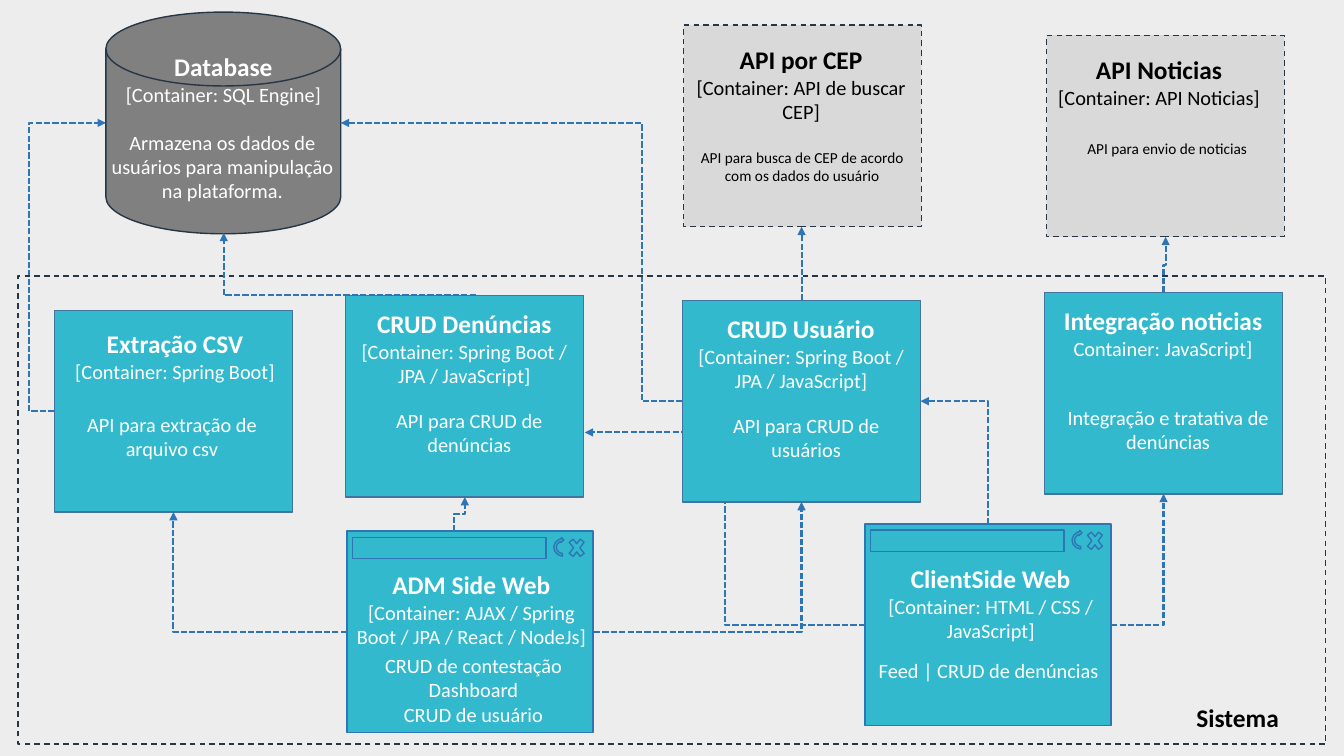
"""Build the container diagram slide of the system."""
from dataclasses import dataclass
from typing import Optional

import lxml.etree
import pptx
import pptx.dml.color
import pptx.enum.dml
import pptx.enum.shapes
import pptx.enum.text
import pptx.oxml.ns
import pptx.util

SHAPE = pptx.enum.shapes.MSO_SHAPE
DASH = pptx.enum.dml.MSO_LINE
qn = pptx.oxml.ns.qn


@dataclass(frozen=True)
class Theme:
    page: str = "EDEDED"
    card: str = "32B9CD"
    store: str = "808080"
    external: str = "D9D9D9"
    card_edge: str = "43739E"
    arrow: str = "2E75B6"
    dark_edge: str = "253746"
    light: str = "FFFFFF"
    dark: str = "000000"
    font: str = "Calibri"
    title: float = 18.1
    body: float = 14.5
    small: float = 10.9
    edge: float = 1
    arrow_edge: float = 1.5


@dataclass(frozen=True)
class Area:
    left: float
    top: float
    width: float
    height: float

    def inside(self, parent: "Area") -> "Area":
        return Area(parent.left + self.left, parent.top + self.top, self.width, self.height)


@dataclass(frozen=True)
class Look:
    shape: int
    fill: Optional[str]
    edge: str
    ink: str
    detail_size: float
    dash: Optional[int] = None


@dataclass(frozen=True)
class Container:
    look: Look
    area: Area
    title: str
    technology: str
    detail: str
    heading_spot: Area
    detail_spot: Area


@dataclass(frozen=True)
class Arrow:
    start: tuple[float, float]
    end: tuple[float, float]
    preset: str = "bentConnector2"
    bend: Optional[float] = None
    vertical: bool = False
    tip: str = "tailEnd"


THEME = Theme()
deck = pptx.Presentation()
deck.slide_width, deck.slide_height = pptx.util.Inches(13.33), pptx.util.Inches(7.5)
COLUMN, ROW = deck.slide_width / 133.3, deck.slide_height / 75
page = deck.slides.add_slide(deck.slide_layouts[6])
page.background.fill.solid()
page.background.fill.fore_color.rgb = pptx.dml.color.RGBColor.from_string(THEME.page)

CARD = Look(SHAPE.RECTANGLE, THEME.card, THEME.card_edge, THEME.light, THEME.body)
WINDOW = Look(SHAPE.RECTANGLE, THEME.card, THEME.arrow, THEME.light, THEME.body)
STORE = Look(SHAPE.FLOWCHART_MAGNETIC_DISK, THEME.store, THEME.dark_edge, THEME.light, THEME.body)
EXTERNAL = Look(SHAPE.RECTANGLE, THEME.external, THEME.dark_edge, THEME.dark, THEME.small, DASH.DASH)
BOUNDARY = Look(SHAPE.RECTANGLE, None, THEME.dark_edge, THEME.dark, THEME.body, DASH.DASH)
CARD_HEADING, CARD_DETAIL = Area(-1, 0.8, 25.5, 8.9), Area(0.8, 10.7, 22.9, 5.9)


def card_area(left: float, top: float) -> Area:
    return Area(left, top, 23.6, 20)


def window_area(left: float, top: float) -> Area:
    return Area(left, top, 24.4, 20)


CONTAINERS = [
    Container(CARD, card_area(67.7, 29.8), "CRUD Usuário", "[Container: Spring Boot / JPA / JavaScript]",
              "API para CRUD de usuários", CARD_HEADING, CARD_DETAIL),
    Container(STORE, Area(10.5, 1.2, 23.3, 22), "Database", "[Container: SQL Engine]",
              "Armazena os dados de usuários para manipulação na plataforma.",
              Area(-1.1, 3.4, 25.5, 6.3), Area(-1.2, 11.2, 25.5, 8)),
    Container(CARD, card_area(5.4, 30.8), "Extração CSV", "[Container: Spring Boot]",
              "API para extração de arquivo csv", Area(-0.8, 1.3, 25.5, 6.5), Area(0.2, 9.6, 22.9, 5.9)),
    Container(WINDOW, window_area(85.8, 52), "ClientSide Web", "[Container: HTML / CSS / JavaScript]",
              "Feed | CRUD de denúncias", Area(-0.3, 3.4, 25.5, 8.9), Area(-0.5, 12.8, 25.5, 3.5)),
    Container(WINDOW, window_area(34.4, 52.7), "ADM Side Web",
              "[Container: AJAX / Spring Boot / JPA / React / NodeJs]",
              "CRUD de contestação\nDashboard\nCRUD de usuário",
              Area(-0.4, 3.3, 25.5, 8.9), Area(-0.2, 11.6, 25.5, 8.3)),
    Container(EXTERNAL, card_area(103.8, 3.5), "API Noticias", "[Container: API Noticias]",
              "API para envio de noticias", Area(-1.6, 1.4, 25.5, 6.5), Area(-0.8, 9.8, 25.5, 2.8)),
    Container(EXTERNAL, card_area(67.8, 2.5), "API por CEP", "[Container: API de buscar CEP]",
              "API para busca de CEP de acordo com os dados do usuário",
              Area(-1.1, 1.4, 25.5, 8.9), Area(-0.7, 11.7, 24.9, 4.7)),
    Container(CARD, card_area(34.3, 29.3), "CRUD Denúncias", "[Container: Spring Boot / JPA / JavaScript]",
              "API para CRUD de denúncias", CARD_HEADING, CARD_DETAIL),
    Container(CARD, card_area(103.6, 29), "Integração noticias", "Container: JavaScript]",
              "Integração e tratativa de denúncias", CARD_HEADING, CARD_DETAIL),
]
WINDOW_PARTS = [
    (SHAPE.RECTANGLE, Area(0.55, 0.6, 19.2, 2.1), 0),
    (SHAPE.MATH_MULTIPLY, Area(21.75, 0.3, 2.1, 2.7), 0),
    (SHAPE.CIRCULAR_ARROW, Area(20.45, 0.55, 2, 2.1), 275),
]
BACK_ARROWS = [
    Arrow((85.8, 62), (58, 42.9), "bentConnector3", 0.5),
    Arrow((67.7, 39.8), (33.8, 12.2), "bentConnector3", 0.12),
    Arrow((5.4, 40.8), (10.5, 12.2), "bentConnector3", -0.49),
]
FRONT_ARROWS = [
    Arrow((91.3, 39.8), (98, 52), tip="headEnd"),
    Arrow((34.4, 62.7), (17.2, 50.8)),
    Arrow((79.5, 29.8), (79.5, 22.5), "straightConnector1"),
    Arrow((58.9, 62.7), (79.5, 49.8)),
    Arrow((110.2, 62), (115.4, 49)),
    Arrow((45, 52.7), (46.1, 49.3), "bentConnector3", 0.5, vertical=True),
    Arrow((115.4, 29), (115.6, 23.5), "bentConnector3", 0.5, vertical=True),
    Arrow((47.2, 29.3), (22.2, 23.1)),
]


def place(area: Area) -> tuple[int, int, int, int]:
    return (round(area.left * COLUMN), round(area.top * ROW),
            round(area.width * COLUMN), round(area.height * ROW))


def set_line(line, colour: str, width: float, dash: Optional[int]) -> None:
    line.color.rgb = pptx.dml.color.RGBColor.from_string(colour)
    for name, value in {"width": pptx.util.Pt(width), "dash_style": dash}.items():
        setattr(line, name, value)


def draw_shape(kind: int, area: Area, look: Look, fill: Optional[str], turn: float = 0) -> None:
    shape = page.shapes.add_shape(kind, *place(area))
    shape.shadow.inherit = False
    shape.rotation = turn
    if fill:
        shape.fill.solid()
        shape.fill.fore_color.rgb = pptx.dml.color.RGBColor.from_string(fill)
    else:
        shape.fill.background()
    set_line(shape.line, look.edge, THEME.edge, look.dash)


def draw_text(area: Area, lines: list[tuple[str, float, bool]], ink: str) -> None:
    frame = page.shapes.add_textbox(*place(area)).text_frame
    frame.word_wrap = True
    frame.auto_size = pptx.enum.text.MSO_AUTO_SIZE.SHAPE_TO_FIT_TEXT
    for index, (words, size, bold) in enumerate(lines):
        para = frame.add_paragraph() if index else frame.paragraphs[0]
        para.alignment = pptx.enum.text.PP_ALIGN.CENTER
        span = para.add_run()
        span.text = words
        for name, value in {"name": THEME.font, "size": pptx.util.Pt(size), "bold": bold}.items():
            setattr(span.font, name, value)
        span.font.color.rgb = pptx.dml.color.RGBColor.from_string(ink)


def draw_arrow(arrow: Arrow) -> None:
    (x1, y1), (x2, y2) = arrow.start, arrow.end
    if arrow.vertical:
        middle_x, middle_y = (x1 + x2) / 2, (y1 + y2) / 2
        half_run, half_rise = (y1 - y2) / 2, (x2 - x1) / 2
        x1, x2 = middle_x - half_run, middle_x + half_run
        y1, y2 = middle_y - half_rise, middle_y + half_rise
    connector = page.shapes.add_connector(
        pptx.enum.shapes.MSO_CONNECTOR.ELBOW,
        round(x1 * COLUMN), round(y1 * ROW), round(x2 * COLUMN), round(y2 * ROW))
    set_line(connector.line, THEME.arrow, THEME.arrow_edge, DASH.SQUARE_DOT)
    properties = connector.element.spPr
    if arrow.vertical:
        properties.find(qn("a:xfrm")).set("rot", str(270 * 60000))
    geometry = properties.find(qn("a:prstGeom"))
    geometry.set("prst", arrow.preset)
    if arrow.bend is not None:
        lxml.etree.SubElement(geometry.find(qn("a:avLst")), qn("a:gd"),
                              name="adj1", fmla=f"val {round(arrow.bend * 100000)}")
    lxml.etree.SubElement(properties.find(qn("a:ln")), qn(f"a:{arrow.tip}"), type="triangle")
    lxml.etree.SubElement(properties, qn("a:effectLst"))


def draw_container(item: Container) -> None:
    draw_shape(item.look.shape, item.area, item.look, item.look.fill)
    if item.look is WINDOW:
        for kind, spot, turn in WINDOW_PARTS:
            draw_shape(kind, spot.inside(item.area), WINDOW, None, turn)
    heading = [(item.title, THEME.title, True), (item.technology, THEME.body, False)]
    details = [(words, item.look.detail_size, False) for words in item.detail.split("\n")]
    draw_text(item.heading_spot.inside(item.area), heading, item.look.ink)
    draw_text(item.detail_spot.inside(item.area), details, item.look.ink)


for arrow in BACK_ARROWS:
    draw_arrow(arrow)
draw_shape(BOUNDARY.shape, Area(1.8, 27.4, 129.7, 46.4), BOUNDARY, BOUNDARY.fill)
draw_text(Area(110, 69.2, 25.5, 4.1), [("Sistema", THEME.title, True)], BOUNDARY.ink)
for item in CONTAINERS:
    draw_container(item)
for arrow in FRONT_ARROWS:
    draw_arrow(arrow)
deck.save("out.pptx")
